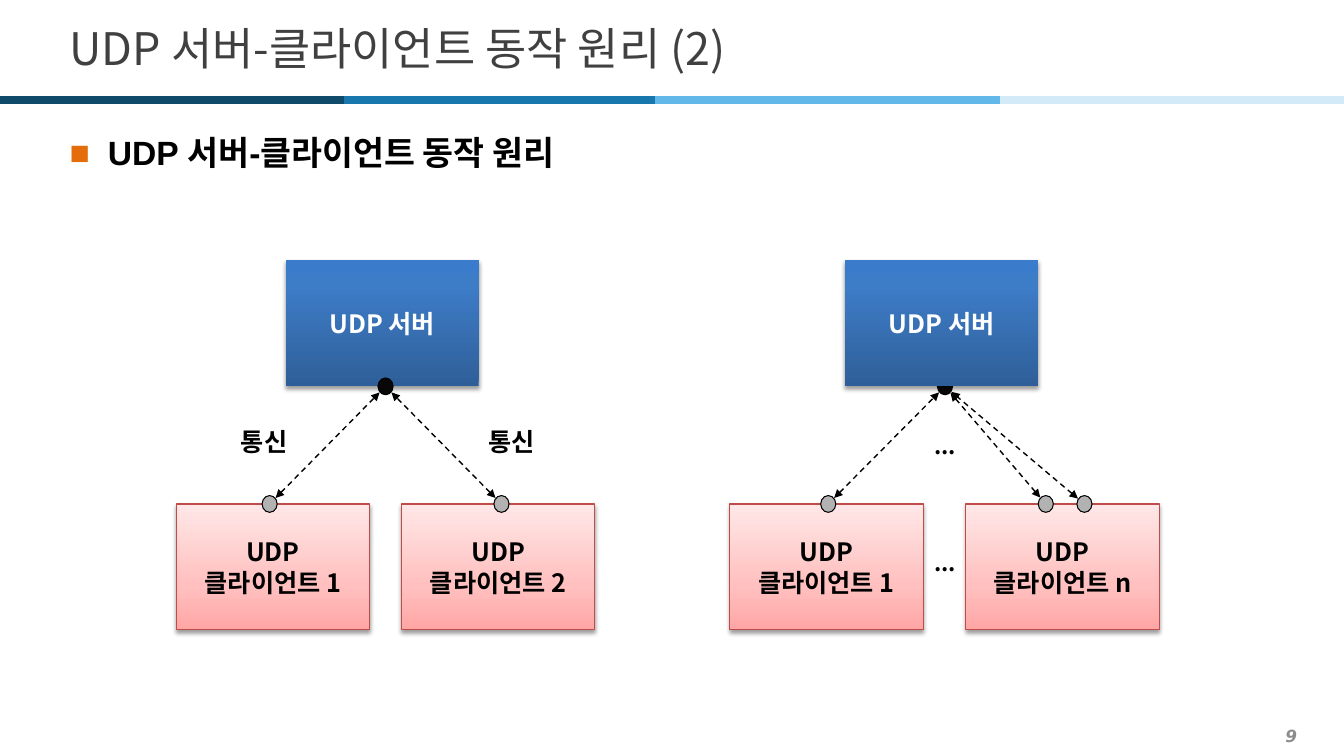
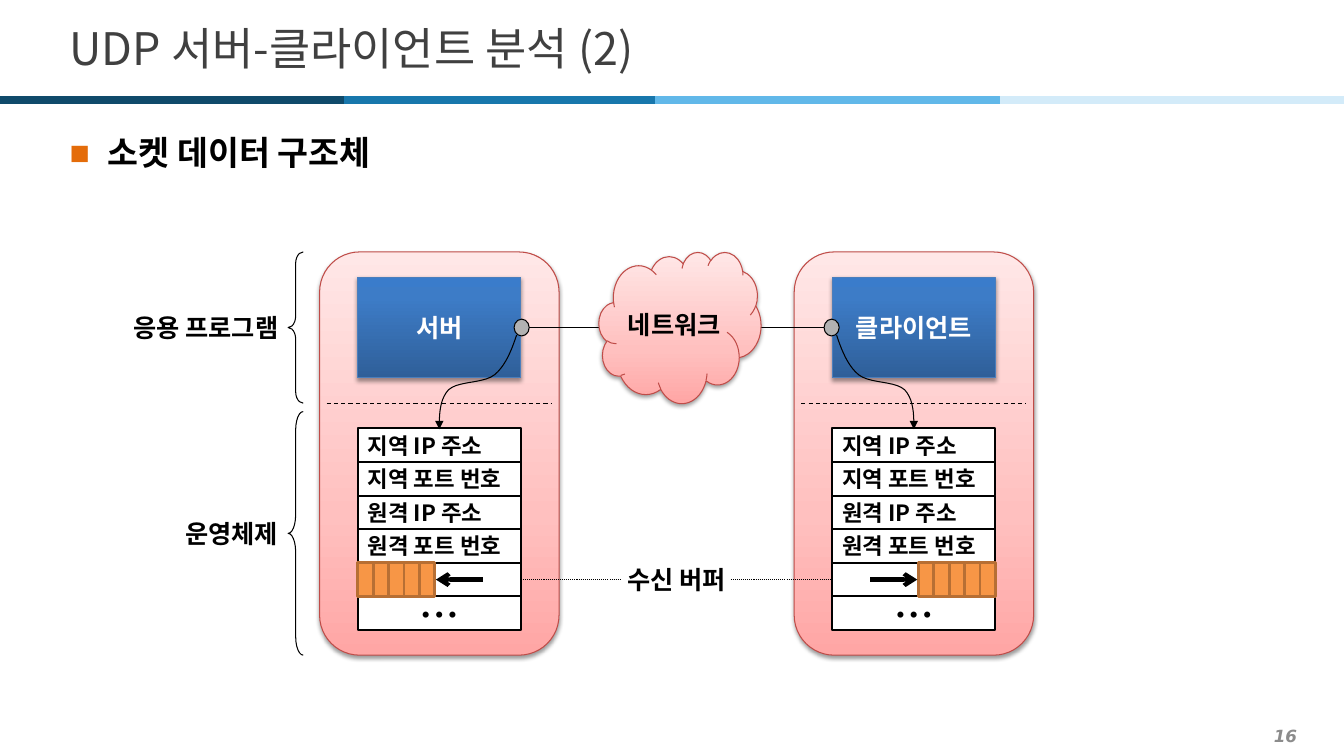
from itertools import pairwise
from math import hypot

from lxml import etree
from pptx import Presentation
from pptx import util as u
from pptx.dml.color import RGBColor
from pptx.enum import dml, shapes, text
from pptx.oxml.ns import qn

# The slide is a grid of 160 columns by 90 rows.
CELL = u.Inches(1 / 12)
COLUMNS, ROWS = 160, 90

SANS = "Noto Sans CJK KR"
BLACK, WHITE, GRAY = "000000", "FFFFFF", "B2B2B2"
BANDS = ["0F4A6B", "1877AC", "61B8E9", "D3EBF9"]
BAND_EDGES = [0, 41, 78, 119, COLUMNS]
BLUE = [(0, "2F5F99"), (80, "3D7CC7"), (100, "3A7CCB")]
PINK = [(0, "FFA6A5"), (35, "FFC0BF"), (100, "FFE7E7")]
PINK_EDGE = "BF4C48"
SHAPE = shapes.MSO_SHAPE
DASH = dml.MSO_LINE.DASH
DOTS = dml.MSO_LINE.ROUND_DOT
ALIGN = {"l": text.PP_ALIGN.LEFT, "c": text.PP_ALIGN.CENTER, "r": text.PP_ALIGN.RIGHT}


def rgb(value):
    return RGBColor.from_string(value)


def grid(*cells):
    return [round(cell * CELL) for cell in cells]


def add_xml(parent, tag, **attributes):
    child = etree.SubElement(parent, qn(tag))
    for name, value in attributes.items():
        child.set(name, str(value))
    return child


def write(shape, words, size=18, color=BLACK, font=SANS, bold=True, italic=False,
          align="c", anchor=text.MSO_ANCHOR.MIDDLE, side_inset=0.1):
    frame = shape.text_frame
    frame.word_wrap = True
    frame.vertical_anchor = anchor
    frame.margin_left = frame.margin_right = u.Inches(side_inset)
    frame.margin_top = frame.margin_bottom = 0
    frame.text = words
    for paragraph in frame.paragraphs:
        paragraph.alignment = ALIGN[align]
        for run in paragraph.runs:
            style = run.font
            style.name, style.size = font, u.Pt(size)
            style.bold, style.italic = bold, italic
            style.color.rgb = rgb(color)
            east_asian = SANS if font == "Arial" else font
            add_xml(run._r.get_or_add_rPr(), "a:ea", typeface=east_asian)
    return shape


def label(slide, box, words, **style):
    return write(slide.shapes.add_textbox(*grid(*box)), words, **style)


def set_line(line, color=BLACK, width=0.75, dash=None, head=None, tail=None):
    line.color.rgb = rgb(color)
    line.width = u.Pt(width)
    if dash:
        line.dash_style = dash
    for tag, arrow in (("a:headEnd", head), ("a:tailEnd", tail)):
        if arrow:
            add_xml(line._get_or_add_ln(), tag, type=arrow)


def set_gradient(fill, stops, shape):
    """Run the stops from the bottom of the shape to its top."""
    fill.gradient()
    fill.gradient_angle = 90
    stop_list = shape._element.spPr.find(qn("a:gradFill")).find(qn("a:gsLst"))
    for stop in list(stop_list):
        stop_list.remove(stop)
    for percent, color in stops:
        stop = add_xml(stop_list, "a:gs", pos=percent * 1000)
        add_xml(stop, "a:srgbClr", val=color)


def add_shadow(shape, alpha=38):
    effects = shape._element.spPr.find(qn("a:effectLst"))
    shadow = add_xml(effects, "a:outerShdw", blurRad=u.Pt(3.1), dist=u.Pt(1.7),
                     dir=90 * 60000, rotWithShape=0)
    add_xml(add_xml(shadow, "a:srgbClr", val=BLACK), "a:alpha", val=alpha * 1000)


def draw(slide, preset, box, fill=None, edge=BLACK, width=0.75, adjust=()):
    """Add a preset shape; a list of stops as fill gives a shaded, shadowed shape."""
    shape = slide.shapes.add_shape(preset, *grid(*box))
    shape.shadow.inherit = False
    for index, value in enumerate(adjust):
        shape.adjustments[index] = value
    if isinstance(fill, list):
        set_gradient(shape.fill, fill, shape)
        add_shadow(shape)
    elif fill:
        shape.fill.solid()
        shape.fill.fore_color.rgb = rgb(fill)
    else:
        shape.fill.background()
    if edge:
        set_line(shape.line, edge, width)
    else:
        shape.line.fill.background()
    return shape


def dot(slide, center, fill=GRAY):
    x, y = center
    return draw(slide, SHAPE.OVAL, (x - 0.9, y - 1, 1.8, 2), fill)


def connect(slide, start, end, begin=None, finish=None, **style):
    """Draw a line; begin and finish are (shape, side) pairs to join it to."""
    line = slide.shapes.add_connector(shapes.MSO_CONNECTOR.STRAIGHT, *grid(*start, *end))
    if begin:
        line.begin_connect(*begin)
    if finish:
        line.end_connect(*finish)
    set_line(line.line, **style)
    add_xml(line._element.spPr, "a:effectLst")


def add_frame(deck, title, heading, page):
    slide = deck.slides.add_slide(deck.slide_layouts[6])
    for color, (left, right) in zip(BANDS, pairwise(BAND_EDGES)):
        connect(slide, (left, 11.9), (right, 11.9), color=color, width=6)
    label(slide, (7.1, 1.6, 146.5, 8.2), title, size=32, color="404040",
          bold=False, align="l")
    body = label(slide, (7.1, 14.8, 146.5, 7), heading, size=24, font="Arial",
                 align="l", anchor=text.MSO_ANCHOR.TOP)
    add_bullet(body.text_frame.paragraphs[0])
    label(slide, (2.4, 85.7, 153.2, 3.7), page, size=12, color="8C8C8C",
          font="DejaVu Sans", italic=True, align="r")
    return slide


def add_bullet(paragraph):
    paragraph.line_spacing = 1.2
    paragraph.space_after = u.Pt(2)
    properties = paragraph._p.get_or_add_pPr()
    properties.set("marL", str(u.Inches(0.38)))
    properties.set("indent", str(-u.Inches(0.38)))
    add_xml(add_xml(properties, "a:buClr"), "a:srgbClr", val="E46C0A")
    add_xml(properties, "a:buFont", typeface="Arial")
    add_xml(properties, "a:buChar", char="■")


def link_dots(slide, start, end, gap=1):
    """Draw a dashed double arrow that stops short of both dot centres."""
    dx, dy = end[0] - start[0], end[1] - start[1]
    trim_x, trim_y = (gap * d / hypot(dx, dy) for d in (dx, dy))
    connect(slide, (start[0] + trim_x, start[1] + trim_y),
            (end[0] - trim_x, end[1] - trim_y),
            width=1, dash=DASH, head="triangle", tail="triangle")


def star_diagram(slide, left, top, hub, second, sockets, last, hub_dot_behind=False):
    """Place a server above two clients; offsets are columns from left."""
    width, height, client_top = 23, 15, top + 29
    hub_center = (left + hub, top + height)
    socket_centers = [(left + offset, client_top) for offset in sockets]

    def server():
        box = draw(slide, SHAPE.RECTANGLE, (left + hub - 11.9, top, width, height),
                   BLUE, edge=None)
        write(box, "UDP 서버", color=WHITE)

    def server_dot():
        dot(slide, hub_center, "080808")

    for place in (server_dot, server) if hub_dot_behind else (server, server_dot):
        place()
    for number, offset in (("1", 0), (last, second)):
        client = draw(slide, SHAPE.RECTANGLE,
                      (left + offset, client_top, width, height), PINK, PINK_EDGE)
        write(client, f"UDP\n클라이언트 {number}")
    for center in socket_centers:
        link_dots(slide, center, hub_center)
        dot(slide, center)


def principle_slide(deck):
    slide = add_frame(deck, "UDP 서버-클라이언트 동작 원리 (2)",
                      "UDP 서버-클라이언트 동작 원리", "9")
    star_diagram(slide, 21, 31, 24.9, 26.8, [11.1, 38.7], "2")
    for left in (27.5, 57):
        label(slide, (left, 51, 20, 3), "통신", align="l")
    star_diagram(slide, 86.9, 31, 25.6, 28.1, [11.7, 37.6, 42.2], "n",
                 hub_dot_behind=True)
    for top in (46, 60):
        label(slide, (107.9, top, 9.2, 14), "...", size=16)


def bezier(points, steps=10):
    for step in range(1, steps + 1):
        t = step / steps
        weights = ((1 - t) ** 3, 3 * t * (1 - t) ** 2, 3 * t * t * (1 - t), t ** 3)
        yield tuple(sum(w * p[axis] for w, p in zip(weights, points)) for axis in (0, 1))


def socket_curve(slide, center, top, side):
    """Draw the arrow from a socket dot down to the top of its data structure."""
    knots = [(9.2, 0), (8.6, 1.8), (7.9, 3.6), (6.6, 4.7),
             (5.2, 5.8), (2.3, 5.4), (1.1, 6.5), (0, 7.7), (0, 9.5), (0, 11.2)]
    track = [(center + side * x, top + y) for x, y in knots]
    points = [*bezier(track[:4]), *bezier(track[3:7]), *bezier(track[6:])]
    builder = slide.shapes.build_freeform(*grid(*track[0]))
    builder.add_line_segments([grid(*point) for point in points], close=False)
    curve = builder.convert_to_shape()
    curve.shadow.inherit = False
    curve.fill.background()
    set_line(curve.line, tail="triangle")


def host(slide, center, top, name, side):
    """Draw a host whose socket faces side (1 right, -1 left)."""
    half, row_height, table_top = 9.7, 4, top + 21
    draw(slide, SHAPE.ROUNDED_RECTANGLE, (center - 14.25, top, 28.5, 48),
         PINK, PINK_EDGE, adjust=[0.167])
    program = draw(slide, SHAPE.RECTANGLE, (center - half, top + 3, 2 * half, 12),
                   BLUE, "4B7EBC")
    write(program, name, color=WHITE)
    connect(slide, (center - 13.4, top + 18), (center + 13.4, top + 18), dash=DASH)

    def row(index):
        box = (center - half, table_top + index * row_height, 2 * half, row_height)
        return draw(slide, SHAPE.RECTANGLE, box, WHITE, width=1.5)

    fields = ["지역 IP 주소", "지역 포트 번호", "원격 IP 주소", "원격 포트 번호"]
    for index, field in enumerate(fields):
        write(row(index), field, size=16, align="l")
    write(row(5), "• • •", size=16, font="Times New Roman")
    buffer = row(4)
    buffer_top, slot = table_top + 4 * row_height, 1.83
    for index in range(5):
        middle = center - side * (half - (index + 0.5) * slot)
        draw(slide, SHAPE.RECTANGLE, (middle - slot / 2, buffer_top, slot, row_height),
             "F79646", "B76F34", 2)
    connect(slide, (center + side * 5.2, buffer_top + 2),
            (center - side * 0.4, buffer_top + 2), width=3, tail="arrow")
    return program, buffer


def structure_slide(deck):
    slide = add_frame(deck, "UDP 서버-클라이언트 분석 (2)", "소켓 데이터 구조체", "16")
    top, server_x, client_x = 30, 52.3, 108.8
    server, server_buffer = host(slide, server_x, top, "서버", 1)
    client, client_buffer = host(slide, client_x, top, "클라이언트", -1)
    connect(slide, (62, 39), (99, 39), (server, 3), (client, 1))
    for center, side in ((server_x, 1), (client_x, -1)):
        dot(slide, (center + side * 9.8, top + 9))
        socket_curve(slide, center, top + 9.9, side)
    cloud = draw(slide, SHAPE.CLOUD, (71.3, top, 19.3, 18), PINK, PINK_EDGE)
    write(cloud, "네트워크", side_inset=0)
    for layer, start, height, bend in (("응용 프로그램", 30, 18, 0.75),
                                       ("운영체제", 49, 29, 1.21)):
        middle = start + height / 2
        label(slide, (12, middle - 2, 22.3, 4), layer, align="r")
        draw(slide, SHAPE.LEFT_BRACE, (34.3, start, 1.8, height), adjust=[bend, 0.5])
    label(slide, (71.3, 67, 18.5, 4), "수신 버퍼")
    connect(slide, (62, 69), (74, 69), begin=(server_buffer, 3), dash=DOTS)
    connect(slide, (87, 69), (99, 69), finish=(client_buffer, 1), dash=DOTS)


def main():
    deck = Presentation()
    deck.slide_width, deck.slide_height = grid(COLUMNS, ROWS)
    principle_slide(deck)
    structure_slide(deck)
    deck.save("out.pptx")


if __name__ == "__main__":
    main()
